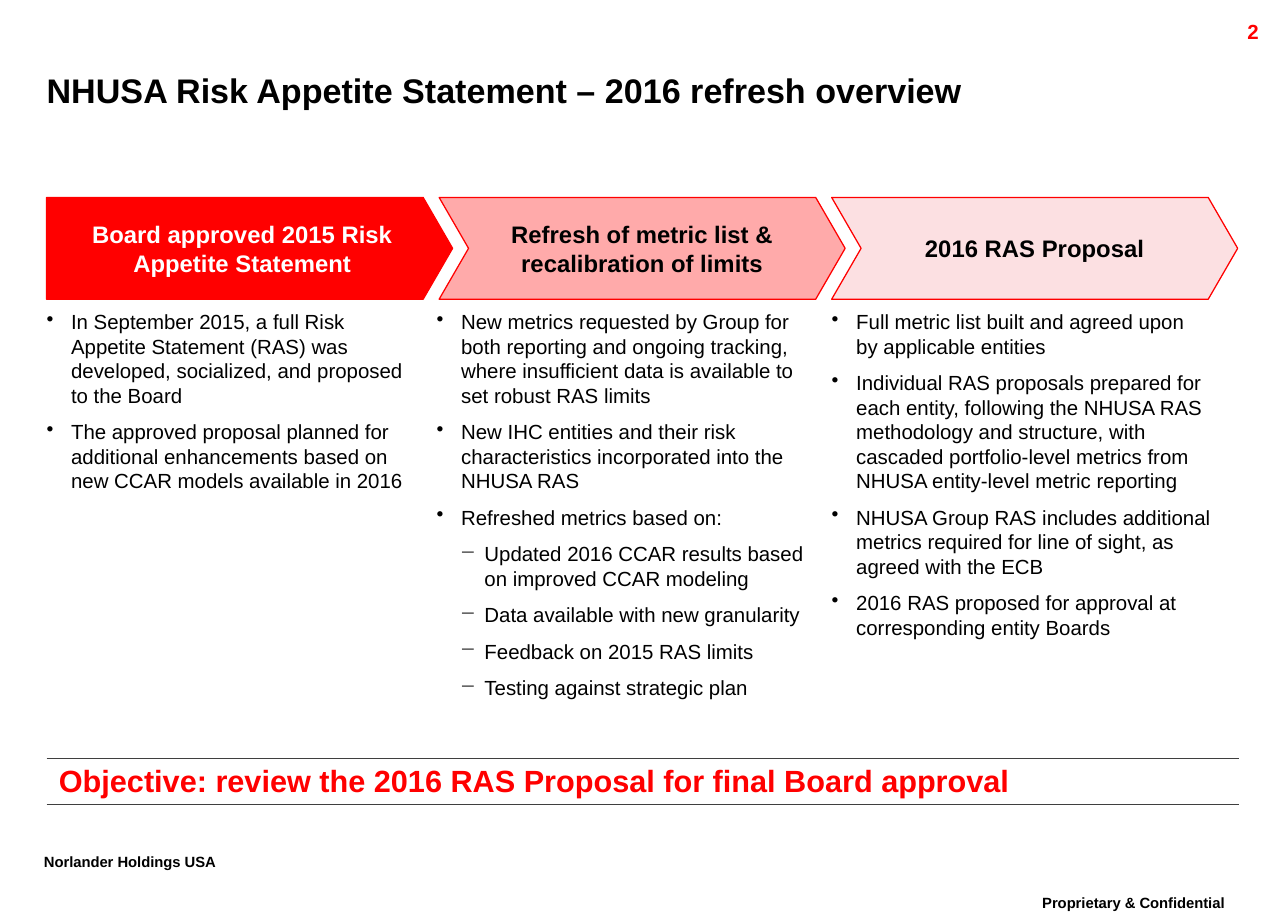
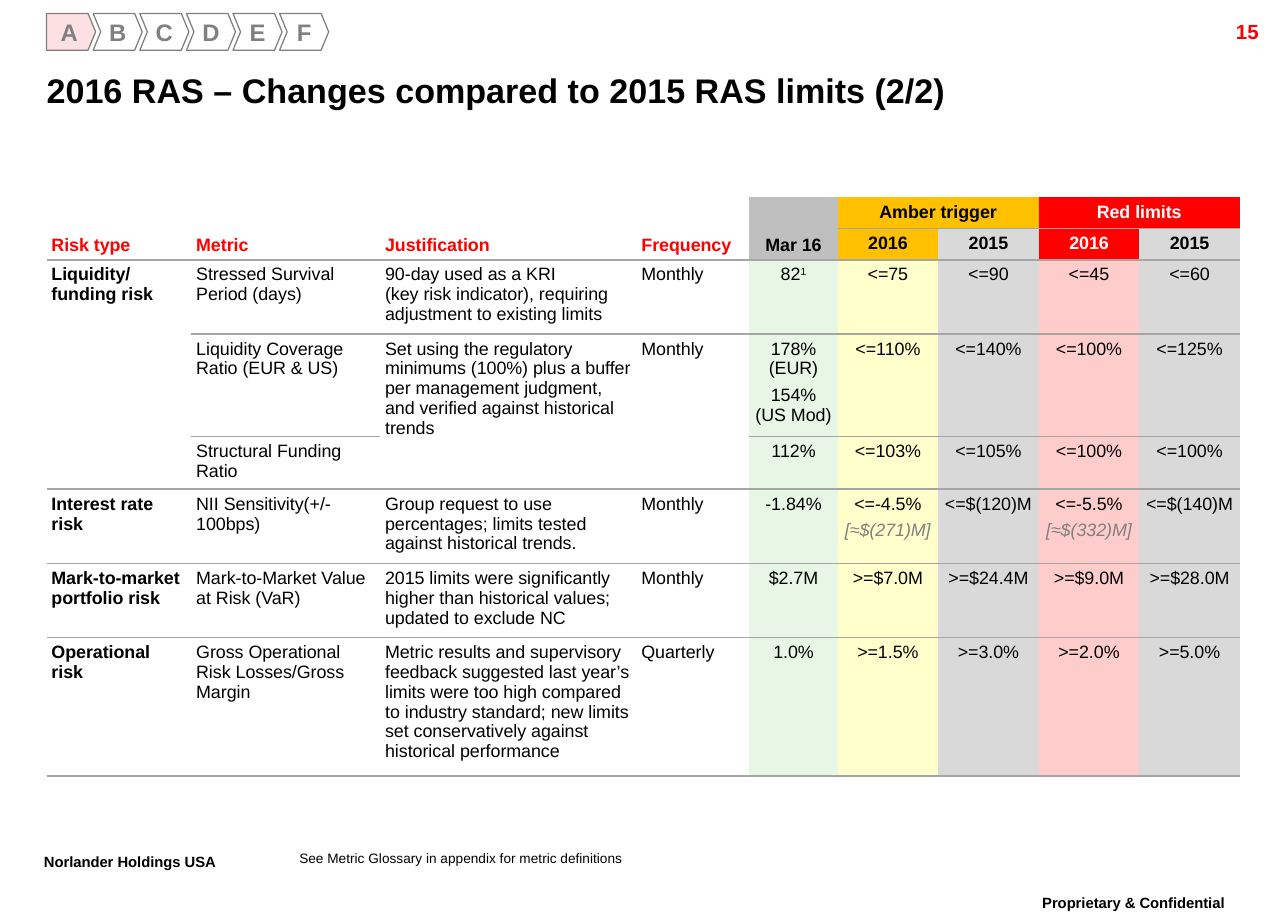
from lxml import etree
from pptx import Presentation, util as u
from pptx.dml.color import RGBColor
from pptx.enum import shapes, text
from pptx.oxml import ns

W, H = 10.5, 7.5
LEFT, TOP, WIDTH = 0.38, 1.61, 9.72  # content area
FONT = "Arial"
COLORS = {
    "black": "000000", "white": "FFFFFF", "red": "FF0000", "pink": "FFAAAA",
    "blush": "FCE0E2", "rose": "FFCCCC", "amber": "FFC000", "cream": "FFFFCC",
    "mint": "E8F6E6", "silver": "BFBFBF", "light": "D9D9D9", "grey": "808080",
    "rule": "A5A5A5", "dark": "3F3F3F",
}
AL, ANC, SHAPE = text.PP_ALIGN, text.MSO_ANCHOR, shapes.MSO_SHAPE
NO_STYLE = "{2D5ABB26-0587-4C30-8999-92F81FD0307C}"


def rgb(name):
    return RGBColor.from_string(COLORS[name])


def box(*lengths):
    return [u.Inches(v) for v in lengths]


def write(tf, content, size, color="black", bold=False, align=AL.LEFT,
          anchor=ANC.TOP, inset=(0, 0), spacing=None):
    """Fill a frame, one paragraph a line; text after ^ is raised."""
    tf.word_wrap = True
    tf.vertical_anchor = anchor
    tf.margin_left = tf.margin_right = u.Inches(inset[0])
    tf.margin_top = tf.margin_bottom = u.Inches(inset[1])
    for i, line in enumerate(content.split("\n")):
        p = tf.add_paragraph() if i else tf.paragraphs[0]
        base, _, raised = line.partition("^")
        p.text = base
        if raised:
            r = p.add_run()
            r.text = raised
            r.font._element.set("baseline", "30000")
        p.alignment = align
        p.line_spacing = spacing
        for r in p.runs:
            r.font.name, r.font.size, r.font.bold = FONT, u.Pt(size), bold
            r.font.color.rgb = rgb(color)


def add_text(s, at, content, size, **style):
    tf = s.shapes.add_textbox(*box(*at)).text_frame
    write(tf, content, size, **style)
    return tf


def add_arrow(s, kind, at, point, fill, line, label, color, inset=0):
    sp = s.shapes.add_shape(kind, *box(*at))
    sp.shadow.inherit = False
    sp.adjustments[0] = point
    sp.fill.solid()
    sp.fill.fore_color.rgb = rgb(fill)
    sp.line.color.rgb = rgb(line)
    sp.line.width = u.Pt(0.75)
    write(sp.text_frame, label, 14, color, True, AL.CENTER, ANC.MIDDLE,
          (inset, inset))


def add_grid(s, left, top, cols, rows):
    """A plain table without style or banding."""
    frame = s.shapes.add_table(len(rows), len(cols),
                               *box(left, top, sum(cols), sum(rows)))
    table = frame.table
    table.first_row = table.horz_banding = False
    frame._element.find(".//" + ns.qn("a:tableStyleId")).text = NO_STYLE
    for col, width in zip(table.columns, cols):
        col.width = u.Inches(width)
    for row, height in zip(table.rows, rows):
        row.height = u.Inches(height)
    return table


def rule(cell, side, color, width):
    ln = etree.Element(ns.qn("a:ln" + side), w=str(u.Pt(width)))
    fill = etree.SubElement(ln, ns.qn("a:solidFill"))
    etree.SubElement(fill, ns.qn("a:srgbClr"), val=COLORS[color])
    cell._tc.get_or_add_tcPr().insert(0, ln)


def add_page(prs, title, number):
    """Blank slide with title, page number and footers."""
    s = prs.slides.add_slide(prs.slide_layouts[6])
    add_text(s, (LEFT, 0.49, 9.48, 0.48), title, 20, bold=True, anchor=ANC.MIDDLE)
    add_text(s, (W - 1.14, 0.11, 1, 0.24), number, 12, color="red", bold=True,
             align=AL.RIGHT, inset=(0.1, 0.05))
    footers = (((0.26, 6.91, 1.91, 0.35), "^Norlander Holdings USA", AL.LEFT),
               ((8.15, 7.25, 2.18, 0.35), "^Proprietary & Confidential", AL.CENTER))
    for at, label, align in footers:
        add_text(s, at, label, 15, bold=True, align=align, inset=(0.1, 0.05),
                 spacing=0.86)
    return s


# Overview slide: steps, bullets below them, objective
STEPS = [
    ("Board approved 2015 Risk Appetite Statement", "red", "white", 3, [
        "In September 2015, a full Risk Appetite Statement (RAS) was developed, "
        "socialized, and proposed to the Board",
        "The approved proposal planned for additional enhancements based on new "
        "CCAR models available in 2016"]),
    ("Refresh of metric list & recalibration of limits", "pink", "black", 3.06, [
        "New metrics requested by Group for both reporting and ongoing tracking, "
        "where insufficient data is available to set robust RAS limits",
        "New IHC entities and their risk characteristics incorporated into the "
        "NHUSA RAS",
        "Refreshed metrics based on:",
        "− Updated 2016 CCAR results based on improved CCAR modeling",
        "− Data available with new granularity",
        "− Feedback on 2015 RAS limits",
        "− Testing against strategic plan"]),
    ("2016 RAS Proposal", "blush", "black", 3.09, [
        "Full metric list built and agreed upon by applicable entities",
        "Individual RAS proposals prepared for each entity, following the NHUSA "
        "RAS methodology and structure, with cascaded portfolio-level metrics "
        "from NHUSA entity-level metric reporting",
        "NHUSA Group RAS includes additional metrics required for line of sight, "
        "as agreed with the ECB",
        "2016 RAS proposed for approval at corresponding entity Boards"]),
]


def add_bullets(s, at, items):
    tf = add_text(s, at, "\n".join(t.removeprefix("− ") for t in items), 12)
    for i, (p, item) in enumerate(zip(tf.paragraphs, items)):
        sub = item.startswith("− ")
        pPr = p._p.get_or_add_pPr()
        pPr.set("marL", str(u.Inches(0.39 if sub else 0.2)))
        pPr.set("indent", str(u.Inches(-0.2)))
        etree.SubElement(pPr, ns.qn("a:buChar"), char="−" if sub else "•")
        p.space_before = u.Pt(7 if i else 0)


def add_steps(s, left, top, step):
    for i, (label, fill, color, width, items) in reversed(list(enumerate(STEPS))):
        x = left + i * step
        add_arrow(s, SHAPE.CHEVRON if i else SHAPE.PENTAGON,
                  (x, top, step + 0.11, 0.83), 0.289, fill, "red", label, color, 0.08)
        add_bullets(s, (x - (0.02 if i == 1 else 0), top + 0.91, width, 3.2), items)


def add_objective(s, left, top, width):
    cell = add_grid(s, left, top, [width], [0.38]).cell(0, 0)
    write(cell.text_frame, "Objective: review the 2016 RAS Proposal for final Board "
          "approval", 18, "red", True, spacing=0.86)
    cell.vertical_anchor = ANC.BOTTOM
    cell.margin_left = cell.margin_right = u.Inches(0.1)
    cell.margin_top = cell.margin_bottom = u.Inches(0.05)
    for side in "BT":
        rule(cell, side, "dark", 0.75)


# Limits slide: section tracker and limits table
COLS = [1.18, 1.54, 2.09, 0.92, 0.72] + [0.82] * 4
ROWS = [0.24, 0.24, 0.57, 0.78, 0.4, 0.57, 0.56, 1.05]
HEAD_FILLS = [None] * 4 + ["silver", "amber", "light", "red", "light"]
BODY_FILLS = [None] * 4 + ["mint", "cream", "light", "rose", "light"]
MERGES = [(0, c, 1, c) for c in range(5)] + [
    (0, 5, 0, 6), (0, 7, 0, 8), (2, 0, 4, 0), (3, 2, 4, 2), (3, 3, 4, 3)]
CELLS = [
    ["Risk type", "Metric", "Justification", "Frequency", "Mar 16",
     "Amber trigger", "", "Red limits", ""],
    ["", "", "", "", "", "2016", "2015", "2016", "2015"],
    ["Liquidity/\vfunding risk", "Stressed Survival Period (days)",
     "90-day used as a KRI\v(key risk indicator), requiring adjustment to existing "
     "limits", "Monthly", "82^1", "<=75", "<=90", "<=45", "<=60"],
    ["", "Liquidity Coverage\vRatio (EUR & US)",
     "Set using the regulatory minimums (100%) plus a buffer per management "
     "judgment, and verified against historical trends", "Monthly",
     "178% (EUR)\n154% (US Mod)", "<=110%", "<=140%", "<=100%", "<=125%"],
    ["", "Structural Funding\vRatio", "", "", "112%",
     "<=103%", "<=105%", "<=100%", "<=100%"],
    ["Interest rate risk", "NII Sensitivity(+/- 100bps)",
     "Group request to use percentages; limits tested against historical trends.",
     "Monthly", "-1.84%", "<=-4.5%\n[≈$(271)M]", "<=$(120)M",
     "<=-5.5%\n[≈$(332)M]", "<=$(140)M"],
    ["Mark-to-market portfolio risk", "Mark-to-Market Value at Risk (VaR)",
     "2015 limits were significantly higher than historical values; updated to "
     "exclude NC", "Monthly", "$2.7M", ">=$7.0M", ">=$24.4M", ">=$9.0M", ">=$28.0M"],
    ["Operational risk", "Gross Operational Risk Losses/Gross Margin",
     "Metric results and supervisory feedback suggested last year’s limits were too "
     "high compared to industry standard; new limits set conservatively against "
     "historical performance", "Quarterly", "1.0%",
     ">=1.5%", ">=3.0%", ">=2.0%", ">=5.0%"],
]


def add_limits(s, left, top):
    table = add_grid(s, left, top, COLS, ROWS)
    for r1, c1, r2, c2 in MERGES:
        table.cell(r1, c1).merge(table.cell(r2, c2))
    for r, row in enumerate(CELLS):
        head = r < 2
        for c, content in enumerate(row):
            cell = table.cell(r, c)
            fill = (HEAD_FILLS if head else BODY_FILLS)[c]
            if fill:
                cell.fill.solid()
                cell.fill.fore_color.rgb = rgb(fill)
            else:
                cell.fill.background()
            rule(cell, "B", "rule", 1)
            if cell.is_spanned:
                continue
            color = "black"
            if head:
                color = "red" if c < 4 else "white" if c == 7 else "black"
            write(cell.text_frame, content, 10.5, color, head or c == 0,
                  AL.LEFT if c < 4 else AL.CENTER)
            cell.vertical_anchor = ANC.BOTTOM if head and c < 5 else ANC.TOP
            cell.margin_left = cell.margin_right = u.Inches(0.04)
            cell.margin_top = cell.margin_bottom = u.Inches(0.04)
            for i, p in enumerate(cell.text_frame.paragraphs):
                p.space_before, p.space_after = u.Pt(2 if i else 0), u.Pt(2)
                if p.text.startswith("["):  # converted amounts
                    p.runs[0].font.italic = True
                    p.runs[0].font.color.rgb = rgb("grey")


def add_tracker(s, left, top, letters, current):
    for i, letter in enumerate(letters):
        add_arrow(s, SHAPE.CHEVRON if i else SHAPE.PENTAGON,
                  (left + 0.38 * i, top, 0.4, 0.3), 0.206,
                  "blush" if letter == current else "white", "grey", letter, "grey")


def main():
    prs = Presentation()
    prs.slide_width, prs.slide_height = box(W, H)

    s = add_page(prs, "NHUSA Risk Appetite Statement – 2016 refresh overview", "2")
    add_steps(s, LEFT, TOP, 3.2)
    add_objective(s, LEFT, 6.18, WIDTH)

    s = add_page(prs, "2016 RAS – Changes compared to 2015 RAS limits (2/2)", "15")
    add_limits(s, LEFT, TOP)
    add_text(s, (2.44, 6.93, 5.47, 0.13),
             "See Metric Glossary in appendix for metric definitions", 8)
    add_tracker(s, LEFT, 0.11, "ABCDEF", "A")

    prs.save("out.pptx")


if __name__ == "__main__":
    main()
